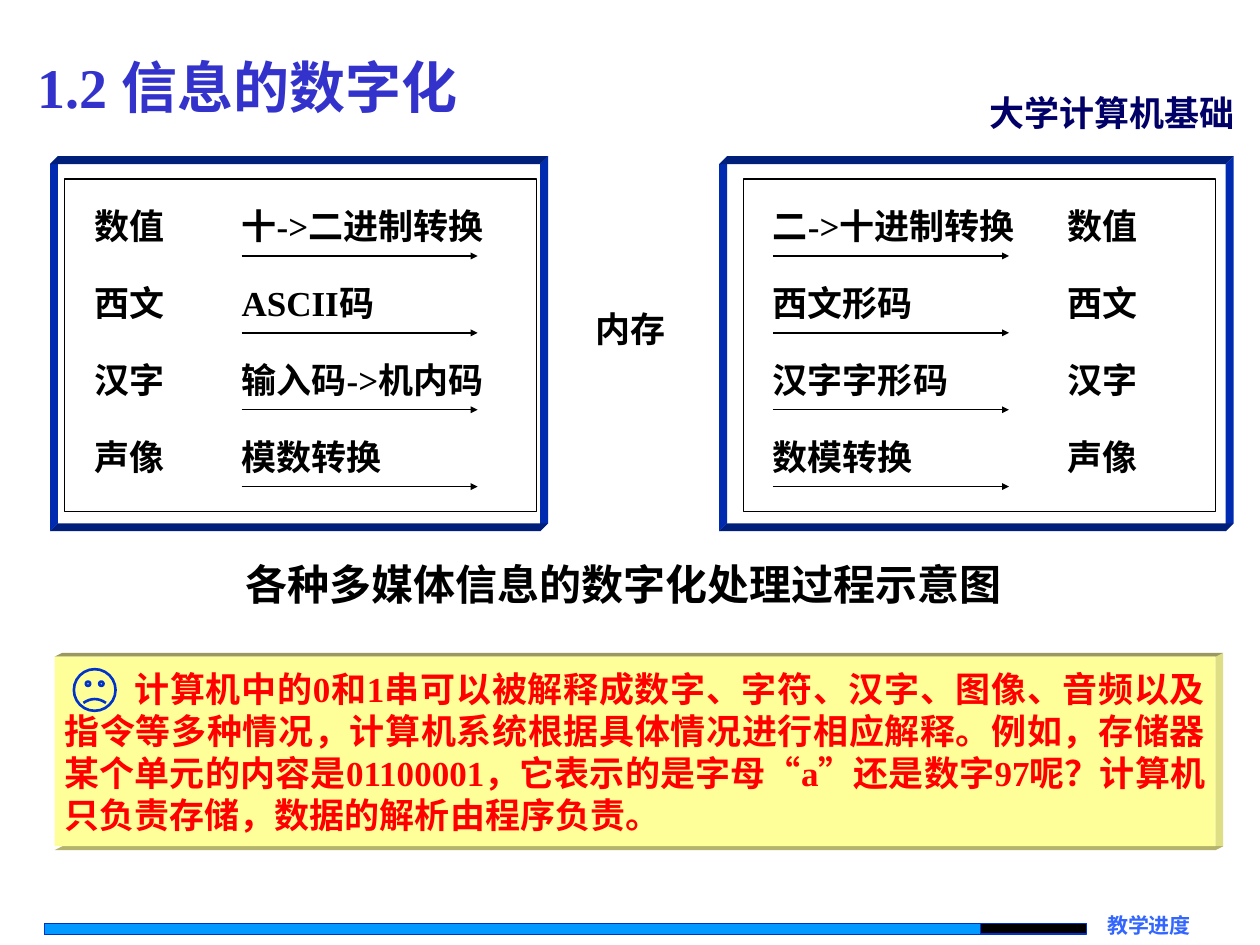
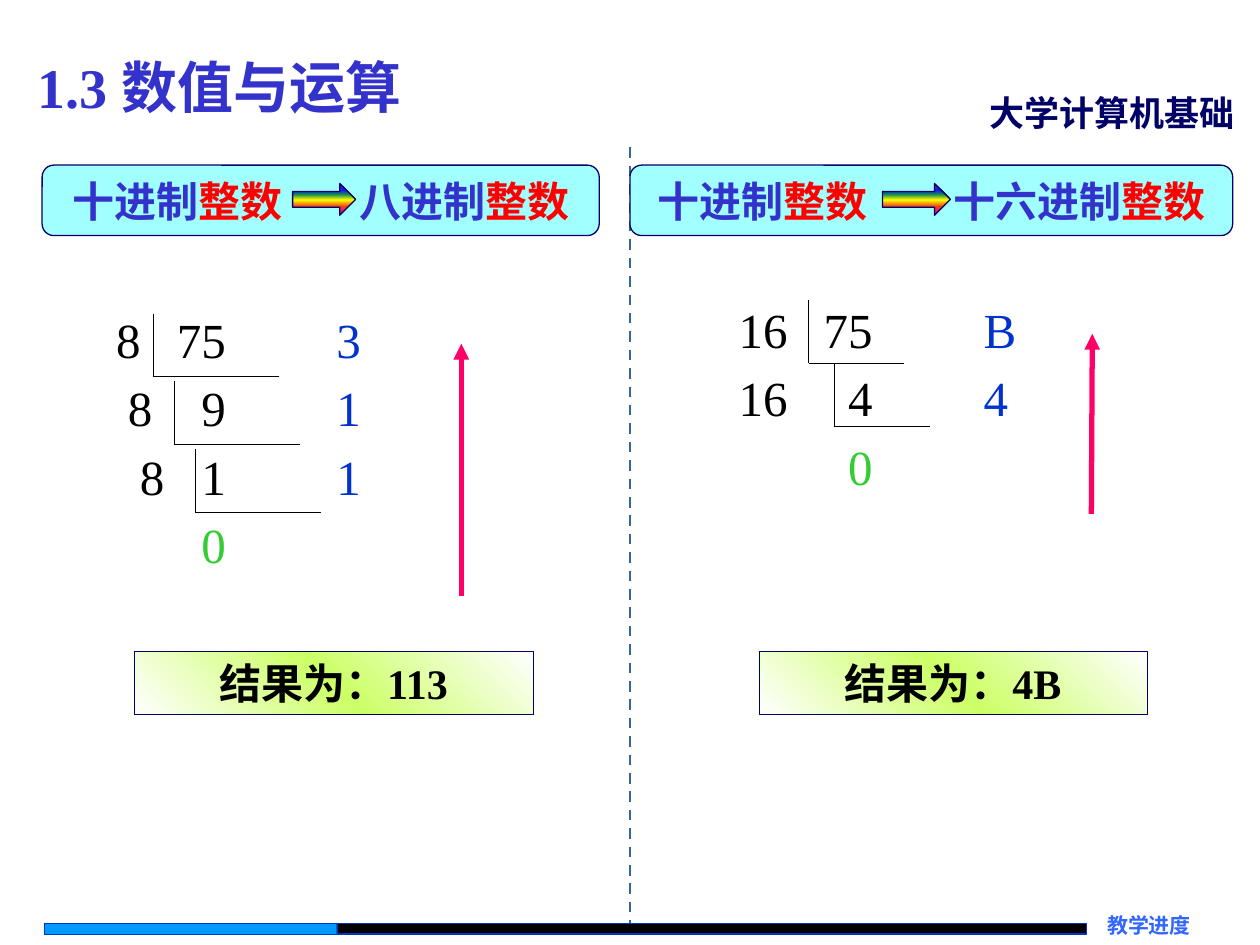
import dataclasses

import lxml.etree
import pptx
import pptx.dml.color
import pptx.enum.dml
import pptx.enum.shapes
import pptx.enum.text
import pptx.oxml.ns
import pptx.util

Cm = pptx.util.Cm
qn = pptx.oxml.ns.qn
SHAPE = pptx.enum.shapes.MSO_SHAPE
ALIGN = pptx.enum.text.PP_ALIGN
ANCHOR = pptx.enum.text.MSO_ANCHOR


@dataclasses.dataclass(frozen=True)
class Theme:
    """Colours, fonts and type sizes of the deck."""
    latin: str = "Times New Roman"
    cjk: str = "Noto Sans CJK SC"
    title_size: int = 32
    digit_size: int = 28
    heading_size: int = 24
    body_size: int = 20
    footer_size: int = 12
    leading: float = 1.2
    black: str = "000000"
    white: str = "FFFFFF"
    title: str = "3333CC"
    navy: str = "000066"
    blue: str = "0033CC"
    footer: str = "3366FF"
    progress: str = "0099FF"
    red: str = "FF0000"
    green: str = "33CC33"
    pink: str = "FF0066"
    divider: str = "336699"
    pill: str = "A1FFFF"
    note: str = "FFFF99"
    frame_flat: str = "001F7A"
    frame_side: str = "002BB0"
    note_top: str = "999960"
    note_side: str = "DEDE85"
    note_bottom: str = "B3B36B"
    rainbow: tuple = ((0, "A603AB"), (21, "0819FB"), (35, "1A8D48"), (52, "FFFF00"),
                      (73, "EE3F17"), (88, "E81766"), (100, "A603AB"))
    lime: tuple = ((0, "FFFFFF"), (50, "CCFF66"), (100, "FFFFFF"))


T = Theme()


def rgb(color):
    """Turn a hex string into a colour."""
    return pptx.dml.color.RGBColor.from_string(color)


def paint(sp, fill=None, line=None, width=0.75):
    """Set fill and outline of a shape and drop its shadow."""
    sp.shadow.inherit = False
    if fill:
        sp.fill.solid()
        sp.fill.fore_color.rgb = rgb(fill)
    else:
        sp.fill.background()
    if line:
        sp.line.color.rgb = rgb(line)
        sp.line.width = pptx.util.Pt(width)
    else:
        sp.line.fill.background()
    return sp


def paint_gradient(sp, stops, angle):
    """Fill a shape with a linear gradient, angle counterclockwise."""
    sp.fill.gradient()
    sp.fill.gradient_angle = angle
    gs_list = sp._element.spPr.find(qn("a:gradFill")).find(qn("a:gsLst"))
    for gs in list(gs_list):
        gs_list.remove(gs)
    for pos, color in stops:
        gs = lxml.etree.SubElement(gs_list, qn("a:gs"), pos=str(pos * 1000))
        lxml.etree.SubElement(gs, qn("a:srgbClr"), val=color)


def add_box(slide, x, y, w, h, kind=SHAPE.RECTANGLE, **style):
    """Add a preset shape, with lengths in centimetres."""
    sp = slide.shapes.add_shape(kind, Cm(x), Cm(y), Cm(w), Cm(h))
    return paint(sp, **style)


def write(sp, text, size=T.body_size, color=T.black, bold=True, align=ALIGN.LEFT,
          anchor=ANCHOR.TOP, inset=(0, 0), indent=0, tab=None):
    """Write a string, or (string, colour) pairs, as one paragraph."""
    tf = sp.text_frame
    tf.word_wrap = True
    tf.vertical_anchor = anchor
    tf.margin_left = Cm(inset[0])
    tf.margin_right = Cm(min(inset[0], 0.25))
    tf.margin_top = tf.margin_bottom = Cm(inset[1])
    p = tf.paragraphs[0]
    p.alignment = align
    p.line_spacing = pptx.util.Pt(size * T.leading)
    p_pr = p._p.get_or_add_pPr()
    if indent:
        p_pr.set("indent", str(Cm(indent)))
    if tab:
        tabs = lxml.etree.SubElement(p_pr, qn("a:tabLst"))
        lxml.etree.SubElement(tabs, qn("a:tab"), pos=str(Cm(tab)), algn="l")
    parts = [(text, color)] if isinstance(text, str) else text
    for part, part_color in parts:
        r = p.add_run()
        r.text = part
        r.font.size = pptx.util.Pt(size)
        r.font.bold = bold
        r.font.color.rgb = rgb(part_color)
        r.font.name = T.latin if any(ch.isascii() for ch in part) else T.cjk
        lxml.etree.SubElement(r._r.get_or_add_rPr(), qn("a:ea"), typeface=T.cjk)


def add_text(slide, text, x, y, w, h, **style):
    """Add a text box, with lengths in centimetres."""
    write(slide.shapes.add_textbox(Cm(x), Cm(y), Cm(w), Cm(h)), text, **style)


def add_label(slide, text, x, y, w):
    """Add a white label of one line."""
    write(add_box(slide, x, y, w, 1.04, fill=T.white), text, align=ALIGN.JUSTIFY)


def add_line(slide, x1, y1, x2, y2, color=T.black, width=0.75, arrow=None, dash=False):
    """Add a straight line, with an arrowhead of a given size or dashes on request."""
    line = slide.shapes.add_connector(pptx.enum.shapes.MSO_CONNECTOR.STRAIGHT,
                                      Cm(x1), Cm(y1), Cm(x2), Cm(y2))
    line.line.color.rgb = rgb(color)
    line.line.width = pptx.util.Pt(width)
    if dash:
        line.line.dash_style = pptx.enum.dml.MSO_LINE.DASH
    sp_pr = line._element.spPr
    if arrow:
        lxml.etree.SubElement(sp_pr.find(qn("a:ln")), qn("a:tailEnd"),
                              type="triangle", w=arrow, len=arrow)
    lxml.etree.SubElement(sp_pr, qn("a:effectLst"))


def add_bevel(slide, x, y, w, h, depth, top, bottom, right, left=None):
    """Sweep the edges of a rectangle up and to the right."""
    dx, dy = depth
    x2, y2 = x + w, y + h
    edges = [(x, y, x, y2, left), (x2, y, x2, y2, right),
             (x, y, x2, y, top), (x, y2, x2, y2, bottom)]
    for ax, ay, bx, by, color in edges:
        if color:
            fb = slide.shapes.build_freeform(Cm(ax), Cm(ay))
            corners = [(bx, by), (bx + dx, by - dy), (ax + dx, ay - dy)]
            fb.add_line_segments([(Cm(cx), Cm(cy)) for cx, cy in corners])
            paint(fb.convert_to_shape(), fill=color)


def add_slide(prs, title, progress):
    """Add a slide with title, course name and progress bar."""
    slide = prs.slides.add_slide(prs.slide_layouts[6])
    add_box(slide, 0.9, 18.62, 21.01, 0.21, fill=T.black, line=T.blue)
    add_box(slide, 0.9, 18.62, progress, 0.21, fill=T.progress, line=T.blue, width=0.25)
    add_text(slide, "教学进度", 21.91, 18.39, 2.1, 0.53, size=T.footer_size,
             color=T.footer, align=ALIGN.RIGHT)
    add_text(slide, "大学计算机基础", 19.7, 1.71, 5.69, 1.09, color=T.navy,
             inset=(0.25, 0.13))
    add_text(slide, title, 0.5, 0.93, 11.6, 1.6, size=T.title_size, color=T.title,
             inset=(0.25, 0.13))
    return slide


def add_panel(slide, x, frame_x, frame_w, kind_x, step_x, steps):
    """Add a framed panel of media kinds and conversion steps."""
    add_box(slide, x, 3.61, 9.52, 6.71, line=T.black)
    for i, (kind, step) in enumerate(zip(("数值", "西文", "汉字", "声像"), steps)):
        y = 4.12 + 1.55 * i
        add_label(slide, kind, kind_x, y, 1.78)
        add_label(slide, step, step_x, y, 4.17 if i % 2 else 5.36)
        add_line(slide, step_x, y + 1.04, step_x + 4.76, y + 1.04, arrow="sm")
    add_bevel(slide, frame_x, 3.31, frame_w, 7.4, (0.16, 0.16), top=T.frame_flat,
              bottom=T.frame_flat, right=T.frame_side, left=T.frame_side)


def add_note(slide, text):
    """Add the raised yellow note with its face."""
    add_bevel(slide, 1.1, 13.24, 23.4, 3.9, (0.16, 0.08), top=T.note_top,
              bottom=T.note_bottom, right=T.note_side)
    sp = add_box(slide, 1.1, 13.24, 23.4, 3.82, fill=T.note)
    write(sp, text, color=T.red, align=ALIGN.JUSTIFY, anchor=ANCHOR.MIDDLE,
          inset=(0.2, 0.2), indent=1.41)
    face = add_box(slide, 1.49, 13.49, 0.84, 0.84, SHAPE.SMILEY_FACE,
                   fill=T.note, line=T.blue, width=1.5)
    face.adjustments[0] = -0.047


def add_heading(slide, target, x, w, inset, tab, arrow_x, arrow_w):
    """Add a pill that names a conversion, with its arrow."""
    pill = add_box(slide, x, 3.33, w, 1.42, SHAPE.ROUNDED_RECTANGLE,
                   fill=T.pill, line=T.navy)
    write(pill, [("十进制", T.title), ("整数\t", T.red), (target, T.title), ("整数", T.red)],
          size=T.heading_size, anchor=ANCHOR.MIDDLE, inset=(inset, 0.13), tab=tab)
    arrow = add_box(slide, arrow_x, 3.7, arrow_w, 0.64, SHAPE.RIGHT_ARROW, line=T.navy)
    paint_gradient(arrow, T.rainbow, 270)


def add_result(slide, text, x, w):
    """Add a result box."""
    sp = add_box(slide, x, 13.13, w, 1.27, line=T.navy, width=0.25)
    paint_gradient(sp, T.lime, 45)
    write(sp, text, size=T.heading_size, align=ALIGN.CENTER, anchor=ANCHOR.MIDDLE)


def add_division(slide, base, quotients, remainders, x, y, shift, quotient_right,
                 remainder_x, corner, corner_step, base_w):
    """Add a ladder of repeated divisions ending in zero."""
    def digit(text, left, row, color=T.black, align=ALIGN.LEFT):
        add_text(slide, text, left, y + 1.38 * row, 1.5, 1.19, size=T.digit_size,
                 color=color, bold=False, align=align)

    for i, (quotient, remainder) in enumerate(zip(quotients, remainders)):
        digit(base, x + shift * i, i)
        digit(quotient, quotient_right - 1.5, i, align=ALIGN.RIGHT)
        digit(remainder, remainder_x, i, color=T.blue)
        cx, cy = (start + step * i for start, step in zip(corner, corner_step))
        add_line(slide, cx, cy, cx, cy + 1.27, width=0.25)
        add_line(slide, cx, cy + 1.27, cx + base_w, cy + 1.27, width=0.25)
    digit("0", quotient_right - 1.5, len(quotients), color=T.green, align=ALIGN.RIGHT)


def build_digitising(prs):
    """Build the slide on digitising information."""
    slide = add_slide(prs, "1.2 信息的数字化", 18.87)
    add_panel(slide, 1.3, 1.01, 9.88, 1.91, 4.87,
              ("十->二进制转换", "ASCII码", "输入码->机内码", "模数转换"))
    add_panel(slide, 14.99, 14.5, 10.21, 21.52, 15.58,
              ("二->十进制转换", "西文形码", "汉字字形码", "数模转换"))
    add_label(slide, "内存", 12.01, 6.2, 1.78)
    add_text(slide, "各种多媒体信息的数字化处理过程示意图", 4.7, 11.13, 16.26, 1.27,
             size=T.heading_size, anchor=ANCHOR.MIDDLE, inset=(0.25, 0.13))
    add_note(slide, "计算机中的0和1串可以被解释成数字、字符、汉字、图像、音频以及指令等多种情况，"
                    "计算机系统根据具体情况进行相应解释。例如，存储器某个单元的内容是01100001，"
                    "它表示的是字母“a”还是数字97呢？计算机只负责存储，数据的解析由程序负责。")


def build_conversion(prs):
    """Build the slide on converting decimal integers."""
    slide = add_slide(prs, "1.3 数值与运算", 5.89)
    add_line(slide, 12.7, 2.97, 12.7, 18.61, color=T.divider, width=1.5, dash=True)
    add_heading(slide, "八进制", 0.85, 11.23, 0.55, 5.77, 5.9, 1.27)
    add_heading(slide, "十六进制", 12.7, 12.15, 0.48, 5.97, 17.79, 1.37)
    add_division(slide, "8", ("75", "9", "1"), ("3", "1", "1"), x=2.34, y=6.24,
                 shift=0.24, quotient_right=4.55, remainder_x=6.78,
                 corner=(3.09, 6.32), corner_step=(0.42, 1.37), base_w=2.54)
    add_division(slide, "16", ("75", "4"), ("B", "4"), x=14.89, y=6.04,
                 shift=0, quotient_right=17.59, remainder_x=19.83,
                 corner=(16.3, 6.05), corner_step=(0.51, 1.27), base_w=1.93)
    add_line(slide, 9.3, 12.01, 9.3, 6.93, color=T.pink, width=3, arrow="med")
    add_line(slide, 22, 10.36, 22.02, 6.73, color=T.pink, width=3, arrow="med")
    add_result(slide, "结果为：113", 2.7, 8.05)
    add_result(slide, "结果为：4B", 15.3, 7.82)


def main():
    """Build the deck and save it."""
    prs = pptx.Presentation()
    prs.slide_width, prs.slide_height = Cm(25.4), Cm(19.05)
    build_digitising(prs)
    build_conversion(prs)
    prs.save("out.pptx")


if __name__ == "__main__":
    main()
